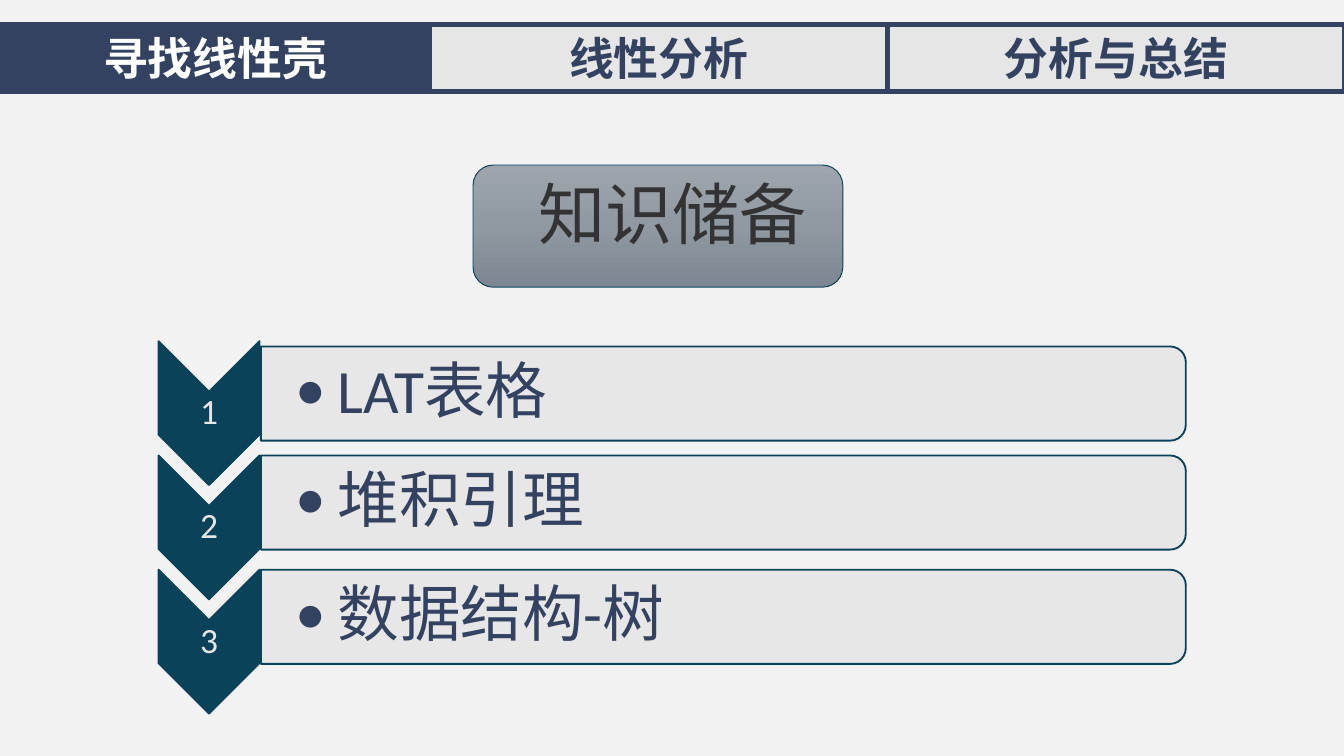
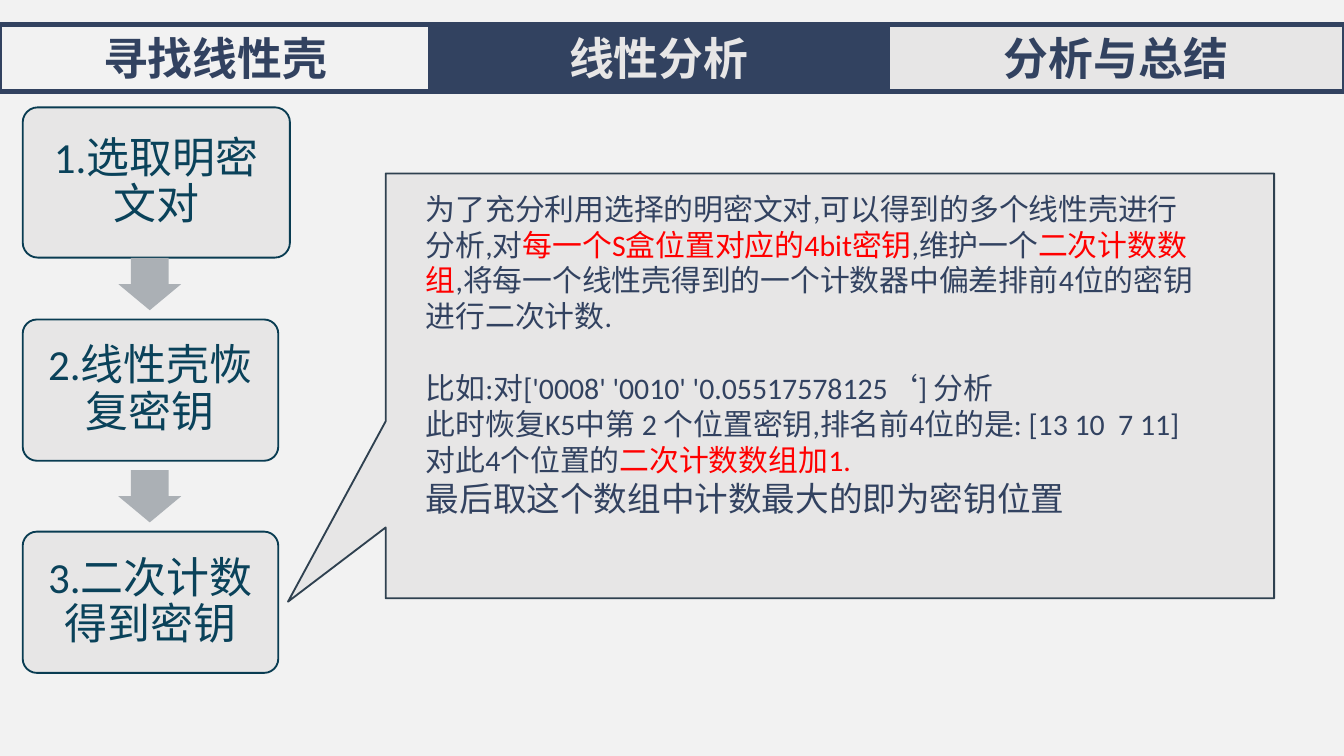
from pptx import Presentation
from pptx.dml.color import RGBColor
from pptx.enum.shapes import MSO_SHAPE
from pptx.enum.text import MSO_ANCHOR, MSO_AUTO_SIZE, PP_ALIGN
from pptx.oxml import parse_xml
from pptx.oxml.ns import nsdecls, qn
from pptx.util import Cm, Pt
from lxml.etree import SubElement

FONT = "Calibri"
NAVY = RGBColor(0x32, 0x42, 0x60)
TEAL = RGBColor(0x0A, 0x42, 0x5A)
DEEP_TEAL = RGBColor(0x09, 0x3C, 0x52)
SLATE = RGBColor(0x2F, 0x41, 0x50)
PANEL = RGBColor(0xE7, 0xE6, 0xE6)
PAPER = RGBColor(0xF2, 0xF2, 0xF2)
ARROW = RGBColor(0xAB, 0xB0, 0xB5)
CHARCOAL = RGBColor(0x33, 0x33, 0x33)
WHITE = RGBColor(0xFF, 0xFF, 0xFF)
RED = RGBColor(0xFF, 0x00, 0x00)
PILL_STOPS = [(0, "9EA5AD"), (50, "9099A1"), (100, "7C8793")]

# Content: tabs as (text, width), topics as (text, centre of bar in cm)
TABS = [("寻找线性壳", 8.13), ("线性分析", 8.64), ("分析与总结", 8.64)]
TOPIC_TITLE = "知识储备"
TOPICS = [("LAT表格", 7.44), ("堆积引理", 9.5), ("数据结构-树", 11.66)]
# Steps as (text, width, height)
STEPS = [
    ("1.选取明密文对", 5.05, 2.84),
    ("2.线性壳恢复密钥", 4.83, 2.67),
    ("3.二次计数得到密钥", 4.83, 2.67),
]
# Paragraphs as (size, space before, runs)
EXPLANATION = [
    (16, 0, [
        ("为了充分利用选择的明密文对,可以得到的多个线性壳进行分析,对", NAVY),
        ("每一个S盒位置对应的4bit密钥", RED),
        (",维护一个", NAVY),
        ("二次计数数组", RED),
        (",将每一个线性壳得到的一个计数器中偏差排前4位的密钥进行二次计数.", NAVY),
    ]),
    (16, 19.5, [("比如:对['0008' '0010' '0.05517578125‘] 分析", NAVY)]),
    (16, 0, [("此时恢复K5中第 2 个位置密钥,排名前4位的是: [13 10  7 11]", NAVY)]),
    (16, 0, [("对此4个位置的", NAVY), ("二次计数数组加1.", RED)]),
    (18, 0, [("最后取这个数组中计数最大的即为密钥位置", NAVY)]),
]


def add_shape(slide, kind, x, y, w, h, fill=None, line=None, width=1.0, adj=(), rot=0):
    sp = slide.shapes.add_shape(kind, Cm(x), Cm(y), Cm(w), Cm(h))
    sp.shadow.inherit = False
    sp.rotation = rot
    for i, value in enumerate(adj):
        sp.adjustments[i] = value
    if fill is None:
        sp.fill.background()
    else:
        sp.fill.solid()
        sp.fill.fore_color.rgb = fill
    if line is None:
        sp.line.fill.background()
    else:
        sp.line.color.rgb = line
        sp.line.width = Pt(width)
    return sp


def add_turned(slide, kind, cx, cy, w, h, **style):
    """Add a shape turned by 90 degrees about its centre."""
    return add_shape(slide, kind, cx - w / 2, cy - h / 2, w, h, rot=90, **style)


def setup_frame(sp, insets, anchor=MSO_ANCHOR.MIDDLE):
    tf = sp.text_frame
    tf.word_wrap = True
    tf.auto_size = MSO_AUTO_SIZE.NONE
    tf.vertical_anchor = anchor
    left, top, right, bottom = insets
    tf.margin_left, tf.margin_top = Cm(left), Cm(top)
    tf.margin_right, tf.margin_bottom = Cm(right), Cm(bottom)
    return tf


def add_run(p, text, size, color, bold=False):
    r = p.add_run()
    r.text = text
    r.font.name = FONT
    r.font.size = Pt(size)
    r.font.bold = bold
    r.font.color.rgb = color


def write_line(sp, text, size, color, insets=(0.25, 0.13, 0.25, 0.13), bold=False,
               align=PP_ALIGN.CENTER, spacing=1.0, anchor=MSO_ANCHOR.MIDDLE):
    p = setup_frame(sp, insets, anchor).paragraphs[0]
    p.alignment = align
    p.line_spacing = spacing
    add_run(p, text, size, color, bold)
    return p


def add_tabs(slide, active, active_color, fills):
    x = 0
    for i, (text, w) in enumerate(TABS):
        sp = add_shape(slide, MSO_SHAPE.RECTANGLE, x, 0.46, w, 1.27, fills[i], NAVY, 2.5)
        write_line(sp, text, 24, active_color if i == active else NAVY, bold=True)
        x += w


def add_topic_slide(prs):
    slide = prs.slides.add_slide(prs.slide_layouts[5])
    add_tabs(slide, 0, WHITE, [NAVY, PANEL, PANEL])

    # Numbered chevrons with their bars
    cx, first_y, pitch = 3.95, 7.81, 2.16
    for i, (text, bar_y) in enumerate(TOPICS):
        cy = first_y + i * pitch
        add_turned(slide, MSO_SHAPE.CHEVRON, cx, cy, 2.72, 1.91, fill=TEAL, line=TEAL)
        number = slide.shapes.add_textbox(Cm(cx - 0.95), Cm(cy - 0.41), Cm(1.9), Cm(0.82))
        write_line(number, str(i + 1), 19, PANEL, (0.03,) * 4, spacing=0.9)

        bar = add_turned(slide, MSO_SHAPE.ROUND_2_SAME_RECTANGLE, 13.67, bar_y, 1.78, 17.48,
                         fill=PANEL, line=TEAL)
        color = bar._element.spPr.find(qn("a:solidFill"))[0]
        SubElement(color, qn("a:alpha"), val="90000")

        label = slide.shapes.add_textbox(Cm(4.93), Cm(bar_y - 0.8), Cm(17.37), Cm(1.6))
        p = write_line(label, text, 33, NAVY, (0.66, 0.05, 0.05, 0.05),
                       align=PP_ALIGN.LEFT, spacing=0.9)
        p.level = 1
        pPr = p._p.get_or_add_pPr()
        pPr.set("marL", str(Cm(0.79)))
        pPr.set("indent", str(-Cm(0.79)))
        SubElement(pPr, qn("a:buFont"), typeface=FONT)
        SubElement(pPr, qn("a:buChar"), char="•")

    # Title on a shaded pill
    pill = add_shape(slide, MSO_SHAPE.ROUNDED_RECTANGLE, 8.94, 3.12, 6.99, 2.31,
                     PANEL, TEAL, 0.5)
    stops = "".join(f'<a:gs pos="{pos * 1000}"><a:srgbClr val="{c}"/></a:gs>'
                    for pos, c in PILL_STOPS)
    spPr = pill._element.spPr
    spPr.replace(spPr.find(qn("a:solidFill")), parse_xml(
        f'<a:gradFill {nsdecls("a")} rotWithShape="1"><a:gsLst>{stops}</a:gsLst>'
        '<a:lin ang="5400000" scaled="0"/></a:gradFill>'))

    title = slide.shapes.title
    title.left, title.top, title.width, title.height = Cm(5.59), Cm(3.12), Cm(14.25), Cm(1.8)
    write_line(title, TOPIC_TITLE, 36, CHARCOAL, anchor=MSO_ANCHOR.TOP)
    slide.shapes._spTree.append(title._element)  # bring in front of the pill


def add_steps_slide(prs):
    slide = prs.slides.add_slide(prs.slide_layouts[6])
    add_tabs(slide, 1, PANEL, [None, NAVY, PANEL])

    # Steps, with an arrow between each pair
    first_y, pitch = 2.03, 4.01
    for i, (text, w, h) in enumerate(STEPS):
        y = first_y + i * pitch
        if i:
            add_turned(slide, MSO_SHAPE.RIGHT_ARROW, 2.83, y - 0.67, 0.99, 1.19,
                       fill=ARROW, adj=(0.6, 0.5))
        sp = add_shape(slide, MSO_SHAPE.ROUNDED_RECTANGLE, 0.43, y, w, h,
                       PANEL, DEEP_TEAL, adj=(0.1,))
        write_line(sp, text, 23, TEAL, (0.2,) * 4, spacing=0.9)

    # Explanation of the last step
    callout = add_shape(slide, MSO_SHAPE.RECTANGULAR_CALLOUT, 7.29, 3.28, 16.79, 8.03,
                        PANEL, SLATE, adj=(-0.61, 0.508))
    tf = setup_frame(callout, (0.76, 0.32, 1.3, 0.13), MSO_ANCHOR.TOP)
    for i, (size, before, runs) in enumerate(EXPLANATION):
        p = tf.add_paragraph() if i else tf.paragraphs[0]
        p.alignment = PP_ALIGN.LEFT
        p.space_before = Pt(before)
        for text, color in runs:
            add_run(p, text, size, color)


def main():
    prs = Presentation()
    prs.slide_width, prs.slide_height = Cm(25.4), Cm(14.29)
    fill = prs.slide_master.background.fill
    fill.solid()
    fill.fore_color.rgb = PAPER
    add_topic_slide(prs)
    add_steps_slide(prs)
    prs.save("out.pptx")


if __name__ == "__main__":
    main()
